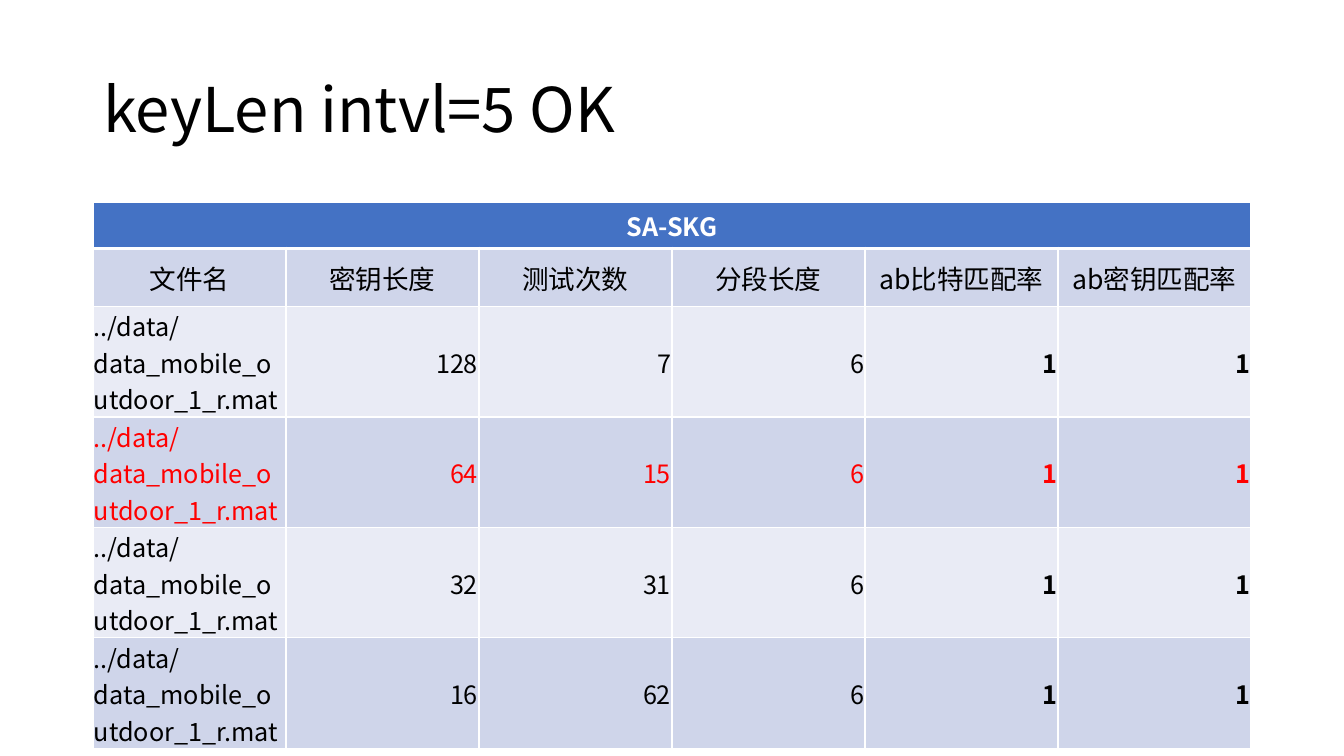
from lxml import etree
from pptx import Presentation
from pptx.dml.color import RGBColor
from pptx.enum.text import MSO_ANCHOR as ANCHOR, PP_ALIGN as AL
from pptx.oxml.ns import qn
from pptx.util import Pt

SCALE = 914400 / 100.8
FONT = "Noto Sans CJK SC"
BLACK, WHITE, RED = "000000", "FFFFFF", "FF0000"
BLUE, BAND_DARK, BAND_LIGHT = "4472C4", "CFD5EA", "E9EBF5"


def px(n):
    return round(n * SCALE)


def write(p, text, size, color, bold=False, align=AL.LEFT):
    p.alignment = align
    r = p.add_run()
    r.text = text
    for name, value in {"name": FONT, "size": Pt(size), "bold": bold}.items():
        setattr(r.font, name, value)
    r.font.color.rgb = RGBColor.from_string(color)
    etree.SubElement(r._r.get_or_add_rPr(), qn("a:ea"), typeface=FONT)


prs = Presentation()
prs.slide_width, prs.slide_height = px(1344), px(756)
s = prs.slides.add_slide(prs.slide_layouts[5])

# Title
title = s.shapes.title
for name, value in {"left": 93, "top": 40, "width": 1159, "height": 146}.items():
    setattr(title, name, px(value))
tf = title.text_frame
tf.word_wrap = True
tf.vertical_anchor = ANCHOR.MIDDLE
tf.paragraphs[0].line_spacing = 0.9
write(tf.paragraphs[0], "keyLen intvl=5 OK", 44, BLACK)

# Table contents
headings = ["文件名", "密钥长度", "测试次数", "分段长度", "ab比特匹配率", "ab密钥匹配率"]
data_file = "../data/data_mobile_outdoor_1_r.mat"
tests = [(128, 7), (64, 15), (32, 31), (16, 62)]
rows = [["SA-SKG"] + [""] * 5, headings]
rows += [[data_file, key_len, count, 6, 1, 1] for key_len, count in tests]
heights = [40, 58, 92, 84, 84, 84]

# Table grid
table = s.shapes.add_table(len(rows), 6, px(93), px(202), px(1158), px(sum(heights))).table
for col in table.columns:
    col.width = px(193)
for row, height in zip(table.rows, heights):
    row.height = px(height)
table.cell(0, 0).merge(table.cell(0, 5))

# Cells
for i, values in enumerate(rows):
    for j, value in enumerate(values):
        cell = table.cell(i, j)
        cell.vertical_anchor = ANCHOR.MIDDLE
        cell.fill.solid()
        fill = BLUE if i == 0 else BAND_DARK if i % 2 else BAND_LIGHT
        cell.fill.fore_color.rgb = RGBColor.from_string(fill)
        p = cell.text_frame.paragraphs[0]
        if i == 0:
            if value:
                write(p, value, 18, WHITE, True, AL.CENTER)
        elif i == 1:
            write(p, value, 19, BLACK, False, AL.CENTER)
        else:
            cell.margin_left = cell.margin_top = cell.margin_right = px(1)
            cell.margin_bottom = 0
            color = RED if value and values[1] == 64 else BLACK
            write(p, str(value), 18, color, j > 3, AL.RIGHT if j else AL.LEFT)

        # White borders, thicker under the header
        tcPr = cell._tc.get_or_add_tcPr()
        for k, side in enumerate("LRTB"):
            thick = (i, side) in [(0, "B"), (1, "T")]
            ln = etree.Element(qn(f"a:ln{side}"), w=str(Pt(3 if thick else 1)))
            line_fill = etree.SubElement(ln, qn("a:solidFill"))
            etree.SubElement(line_fill, qn("a:srgbClr"), val=WHITE)
            tcPr.insert(k, ln)

prs.save("out.pptx")
